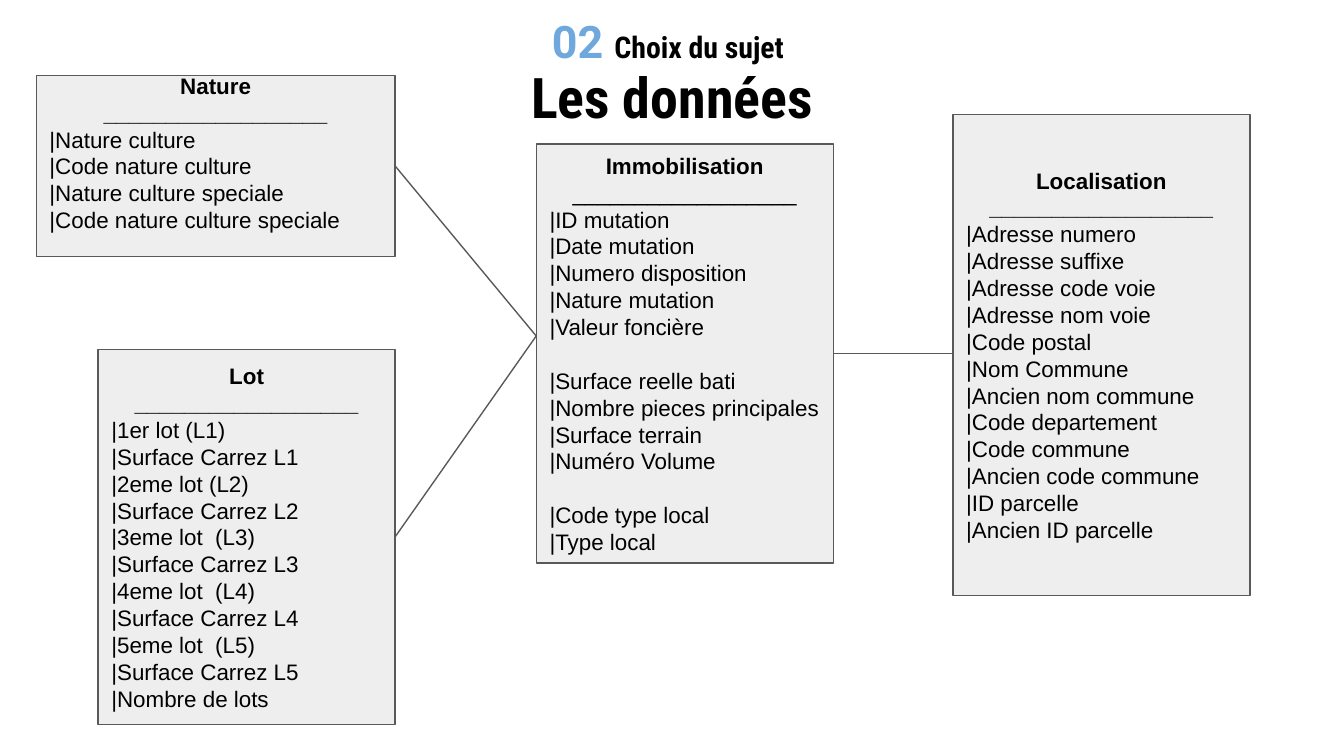
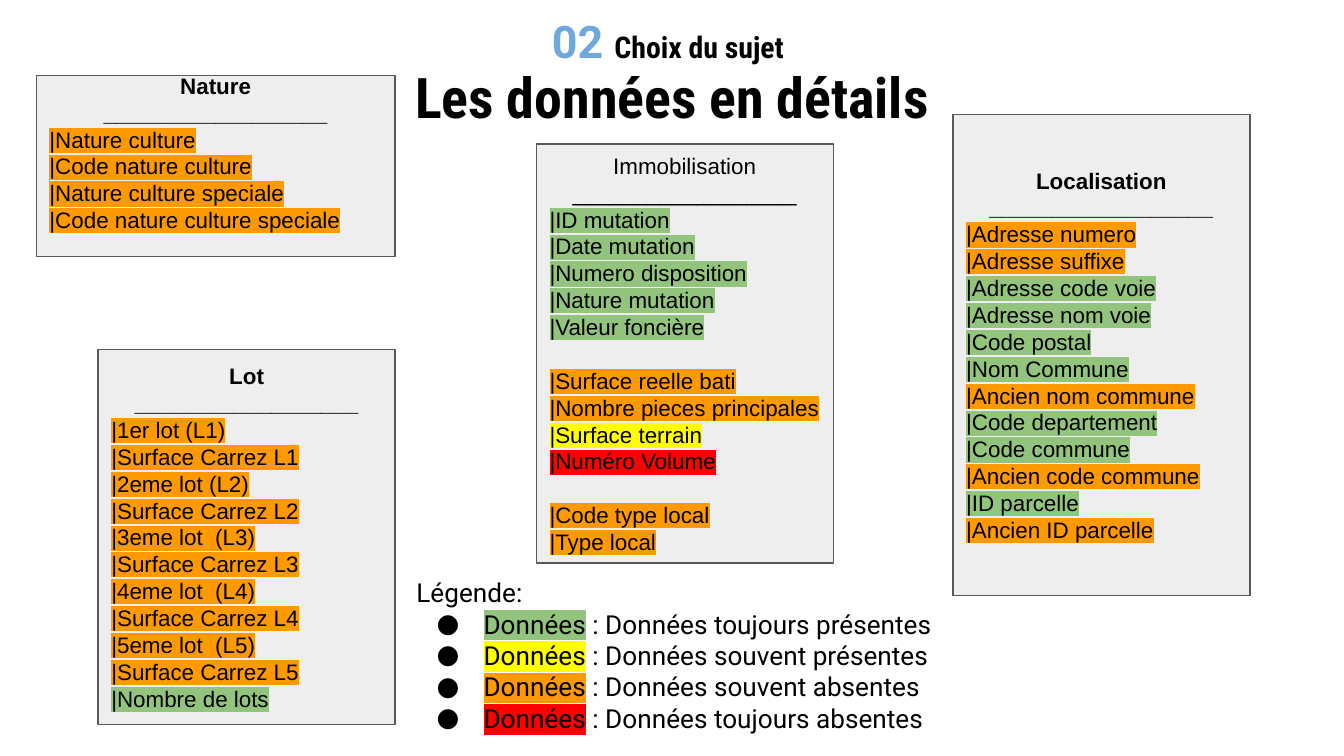
from dataclasses import dataclass
from typing import NamedTuple, Optional

from lxml.etree import SubElement
from pptx import Presentation
from pptx.dml.color import RGBColor
from pptx.enum.shapes import MSO_CONNECTOR as Connector, MSO_SHAPE as Preset
from pptx.enum.text import MSO_ANCHOR as Anchor, PP_ALIGN as Align
from pptx.oxml.ns import qn
from pptx.slide import Slide
from pptx.text.text import TextFrame, _Paragraph as Paragraph
from pptx.util import Inches, Pt

COLORS = {
    "text": "000000",
    "number": "6FA8DC",
    "entity": "EEEEEE",
    "outline": "595959",
    "always": "93C47D",
    "often": "FFFF00",
    "rare": "FF9900",
    "never": "FF0000",
}
BODY_FONT = "Arial"
LEGEND_FONT = "Roboto"
TITLE_FONT = "Roboto Condensed"
SEPARATOR = "_" * 18
MARGIN = 0.1
LINE_HEIGHT = 0.2


class Field(NamedTuple):
    label: str
    presence: str
    starts_group: bool = False


class Point(NamedTuple):
    x: float
    y: float


@dataclass(frozen=True)
class Entity:
    name: str
    left: float
    top: float
    width: float
    height: float
    fields: list[Field]
    spare_lines: int = 0

    @property
    def middle(self) -> float:
        return self.top + self.height / 2

    @property
    def right_middle(self) -> Point:
        return Point(self.left + self.width, self.middle)


LOCATION = Entity("Localisation", 7.09, 0.85, 2.21, 3.58, [
    Field("Adresse numero", "rare"),
    Field("Adresse suffixe", "rare"),
    Field("Adresse code voie", "always"),
    Field("Adresse nom voie", "always"),
    Field("Code postal", "always"),
    Field("Nom Commune", "always"),
    Field("Ancien nom commune", "rare"),
    Field("Code departement", "always"),
    Field("Code commune", "always"),
    Field("Ancien code commune", "rare"),
    Field("ID parcelle", "always"),
    Field("Ancien ID parcelle", "rare"),
])
LOT = Entity("Lot", 0.73, 2.6, 2.21, 2.79, [
    Field("1er lot (L1)", "rare"),
    Field("Surface Carrez L1", "rare"),
    Field("2eme lot (L2)", "rare"),
    Field("Surface Carrez L2", "rare"),
    Field("3eme lot  (L3)", "rare"),
    Field("Surface Carrez L3", "rare"),
    Field("4eme lot  (L4)", "rare"),
    Field("Surface Carrez L4", "rare"),
    Field("5eme lot  (L5)", "rare"),
    Field("Surface Carrez L5", "rare"),
    Field("Nombre de lots", "always"),
])
NATURE = Entity("Nature", 0.27, 0.56, 2.67, 1.35, [
    Field("Nature culture", "rare"),
    Field("Code nature culture", "rare"),
    Field("Nature culture speciale", "rare"),
    Field("Code nature culture speciale", "rare"),
], spare_lines=1)
PROPERTY = Entity("Immobilisation", 3.99, 1.07, 2.21, 3.12, [
    Field("ID mutation", "always"),
    Field("Date mutation", "always"),
    Field("Numero disposition", "always"),
    Field("Nature mutation", "always"),
    Field("Valeur foncière", "always"),
    Field("Surface reelle bati", "rare", starts_group=True),
    Field("Nombre pieces principales", "rare"),
    Field("Surface terrain", "often"),
    Field("Numéro Volume", "never"),
    Field("Code type local", "rare", starts_group=True),
    Field("Type local", "rare"),
])
ENTITIES = [LOCATION, LOT, NATURE, PROPERTY]
JUNCTION = Point(PROPERTY.left, 2.5)
RELATIONS = [
    (Point(LOCATION.left, PROPERTY.middle), PROPERTY.right_middle),
    (NATURE.right_middle, JUNCTION),
    (LOT.right_middle, JUNCTION),
]
LEGEND = {
    "always": "toujours présentes",
    "often": "souvent présentes",
    "rare": "souvent absentes",
    "never": "toujours absentes",
}


def rgb(color: str) -> RGBColor:
    return RGBColor.from_string(COLORS[color])


def write(paragraph: Paragraph, text: str, *, size: float = 12, font: str = BODY_FONT,
          color: str = "text", bold: bool = False, highlight: Optional[str] = None) -> None:
    run = paragraph.add_run()
    run.text = text
    run.font.size = Pt(size)
    run.font.bold = bold
    run.font.color.rgb = rgb(color)
    run.font.name = font
    if highlight:
        properties = run.font._element
        marker = SubElement(properties, qn("a:highlight"))
        SubElement(marker, qn("a:srgbClr")).set("val", COLORS[highlight])
        properties.find(qn("a:solidFill")).addnext(marker)


def prepare(frame: TextFrame, anchor: Anchor, bottom: float = MARGIN) -> None:
    frame.word_wrap = True
    frame.vertical_anchor = anchor
    frame.margin_left = frame.margin_top = frame.margin_right = Inches(MARGIN)
    frame.margin_bottom = Inches(bottom)


def add_text_frame(slide: Slide, left: float, top: float, width: float, height: float,
                   anchor: Anchor) -> TextFrame:
    frame = slide.shapes.add_textbox(
        Inches(left), Inches(top), Inches(width), Inches(height)).text_frame
    prepare(frame, anchor)
    return frame


def add_headings(slide: Slide, title: str) -> None:
    heading = add_text_frame(slide, 0.5, 0.45, 9, 0.53, Anchor.MIDDLE).paragraphs[0]
    heading.alignment = Align.CENTER
    write(heading, title, size=30, font=TITLE_FONT, bold=True)

    section = add_text_frame(slide, 0.2, 0.04, 9.54, 0.53, Anchor.MIDDLE).paragraphs[0]
    section.alignment = Align.CENTER
    write(section, "02 ", size=24, font=LEGEND_FONT, color="number", bold=True)
    write(section, "Choix du sujet", size=16, font=TITLE_FONT, bold=True)


def add_entity(slide: Slide, entity: Entity, detailed: bool) -> None:
    card = slide.shapes.add_shape(
        Preset.RECTANGLE, Inches(entity.left), Inches(entity.top),
        Inches(entity.width), Inches(entity.height))
    card.shadow.inherit = False
    card.fill.solid()
    card.fill.fore_color.rgb = rgb("entity")
    card.line.color.rgb = rgb("outline")
    card.line.width = Pt(0.75)
    frame = card.text_frame
    prepare(frame, Anchor.MIDDLE, MARGIN + entity.spare_lines * LINE_HEIGHT)

    heading = frame.paragraphs[0]
    heading.alignment = Align.CENTER
    write(heading, entity.name, bold=not (detailed and entity is PROPERTY))
    separator = frame.add_paragraph()
    separator.alignment = Align.CENTER
    write(separator, SEPARATOR, bold=entity is not PROPERTY)
    for field in entity.fields:
        row = frame.add_paragraph()
        row.alignment = Align.LEFT
        if field.starts_group:
            row.space_before = Inches(LINE_HEIGHT)
        write(row, f"|{field.label}", highlight=field.presence if detailed else None)


def add_relation(slide: Slide, start: Point, end: Point) -> None:
    relation = slide.shapes.add_connector(
        Connector.STRAIGHT, Inches(start.x), Inches(start.y), Inches(end.x), Inches(end.y))
    relation.line.color.rgb = rgb("outline")
    relation.line.width = Pt(0.75)
    SubElement(relation._element.spPr, qn("a:effectLst"))


def add_bullet(paragraph: Paragraph) -> None:
    properties = paragraph._p.get_or_add_pPr()
    properties.set("marL", str(Inches(0.5)))
    properties.set("indent", str(Inches(-0.35)))
    bullet_color = SubElement(properties, qn("a:buClr"))
    SubElement(bullet_color, qn("a:srgbClr")).set("val", COLORS["text"])
    SubElement(properties, qn("a:buFont")).set("typeface", LEGEND_FONT)
    SubElement(properties, qn("a:buChar")).set("char", "●")


def add_legend(slide: Slide) -> None:
    frame = add_text_frame(slide, 3, 4.19, 4.6, 1.32, Anchor.TOP)
    write(frame.paragraphs[0], "Légende:", size=14, font=LEGEND_FONT)
    for presence, meaning in LEGEND.items():
        entry = frame.add_paragraph()
        add_bullet(entry)
        write(entry, "Données", size=14, font=LEGEND_FONT, highlight=presence)
        write(entry, f" : Données {meaning}", size=14, font=LEGEND_FONT)


def add_data_slide(deck: Presentation, title: str, detailed: bool) -> Slide:
    slide = deck.slides.add_slide(deck.slide_layouts[6])
    add_headings(slide, title)
    for entity in ENTITIES:
        add_entity(slide, entity, detailed)
    return slide


def main() -> None:
    deck = Presentation()
    deck.slide_width = Inches(10)
    deck.slide_height = deck.slide_width * 9 // 16

    overview = add_data_slide(deck, "Les données", detailed=False)
    for start, end in RELATIONS:
        add_relation(overview, start, end)

    details = add_data_slide(deck, "Les données en détails", detailed=True)
    add_legend(details)

    deck.save("out.pptx")


if __name__ == "__main__":
    main()
